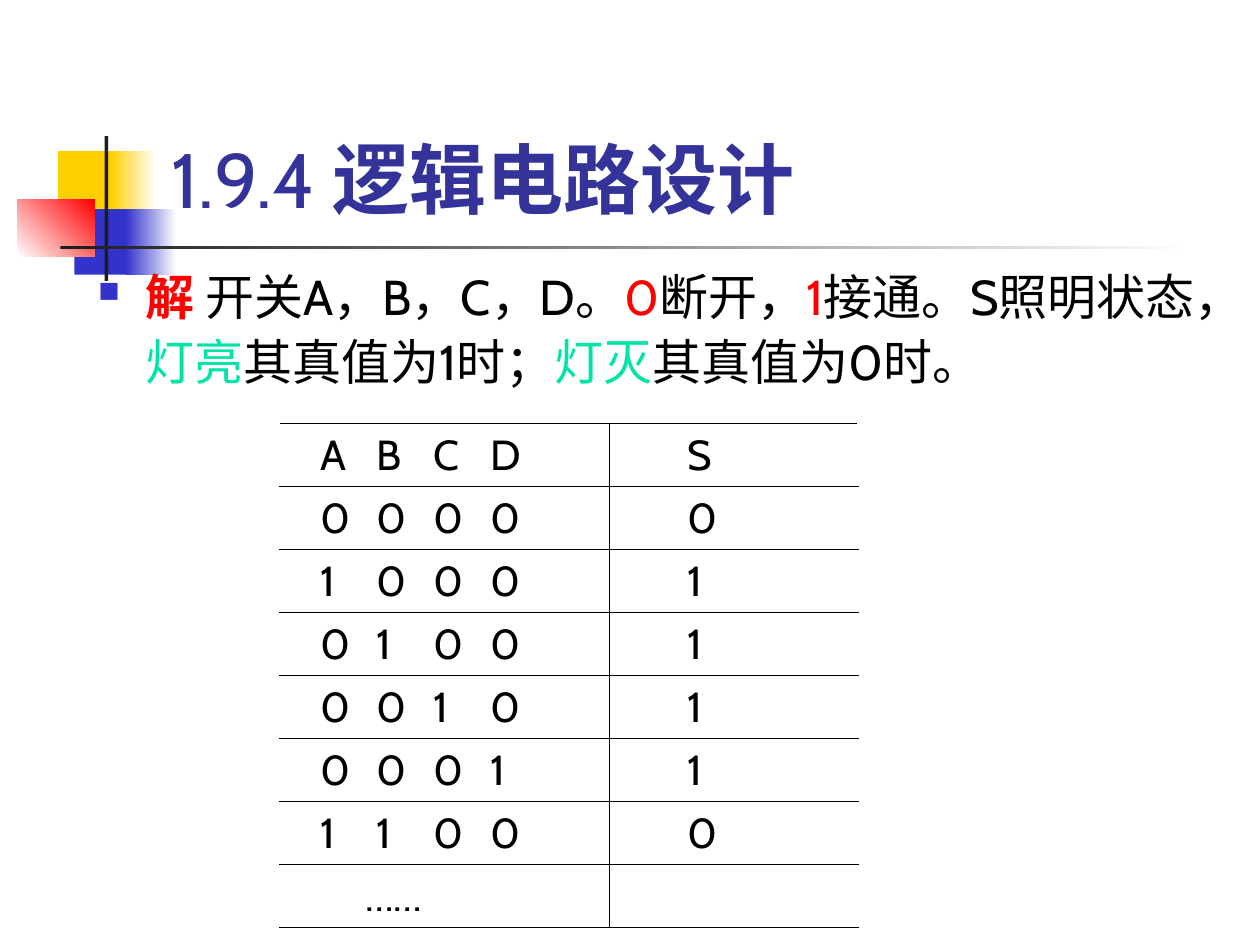
from typing import NamedTuple, Optional

import pptx
import pptx.dml.color
import pptx.enum.shapes
import pptx.enum.text
import pptx.oxml
import pptx.oxml.ns
import pptx.util
from pptx.util import Inches

FONT = "Cabin"
BLACK, WHITE, RED, GREEN = "000000", "FFFFFF", "FF0000", "00E4A8"
YELLOW, BLUE, CHARCOAL, TITLE_BLUE = "FFCF01", "3333CC", "1C1C1C", "333399"


class Block(NamedTuple):
    left: float
    top: float
    width: float
    height: float
    color: str
    end_color: Optional[str] = None
    angle: float = 0


class Run(NamedTuple):
    text: str
    color: str = BLACK
    bold: bool = False


BLOCKS = [
    Block(0.46, 1.2, 0.48, 0.52, YELLOW),
    Block(0.88, 1.2, 0.36, 0.52, YELLOW, WHITE),
    Block(0.59, 1.66, 0.46, 0.52, BLUE),
    Block(1, 1.66, 0.4, 0.52, BLUE, WHITE),
    Block(0.14, 1.58, 0.61, 0.46, WHITE, RED, 45),
    Block(0.83, 1.08, 0.03, 1.15, CHARCOAL),
    Block(0.48, 1.95, 9, 0.03, CHARCOAL, WHITE),
]

TITLE_RUNS = [Run("1.9.4 ", TITLE_BLUE), Run("逻辑电路设计", TITLE_BLUE, True)]

BODY_RUNS = [
    Run("解", RED, True),
    Run(" 开关A，B，C，D。"),
    Run("0", RED),
    Run("断开，"),
    Run("1", RED),
    Run("接通。S照明状态，"),
    Run("灯亮", GREEN),
    Run("其真值为1时；"),
    Run("灯灭", GREEN),
    Run("其真值为0时。"),
]

TRUTH_ROWS = [("ABCD", "S"), ("0000", "0"), ("1000", "1"), ("0100", "1"),
              ("0010", "1"), ("0001", "1"), ("1100", "0")]
COLUMN_WIDTHS = (2.62, 1.97)
ROW_HEIGHT = 0.5
TAB_STEP = 0.45


def rgb(color: str) -> pptx.dml.color.RGBColor:
    return pptx.dml.color.RGBColor.from_string(color)


def append_xml(parent, xml: str) -> None:
    """Append an element written with the a: prefix."""
    head, separator, rest = xml.partition(">")
    closing = "/" if head.endswith("/") else ""
    head = head.rstrip("/") + " " + pptx.oxml.ns.nsdecls("a") + closing
    parent.append(pptx.oxml.parse_xml(head + separator + rest))


def draw_block(slide, block: Block) -> None:
    shape = slide.shapes.add_shape(
        pptx.enum.shapes.MSO_SHAPE.RECTANGLE, Inches(block.left),
        Inches(block.top), Inches(block.width), Inches(block.height))
    shape.shadow.inherit = False
    shape.line.fill.background()
    if block.end_color is None:
        shape.fill.solid()
        shape.fill.fore_color.rgb = rgb(block.color)
        return
    shape.fill.gradient()
    shape.fill.gradient_angle = block.angle
    for stop, color in zip(shape.fill.gradient_stops,
                           (block.color, block.end_color)):
        stop.color.rgb = rgb(color)


def add_text_frame(slide, left: float, top: float, width: float, height: float):
    text_box = slide.shapes.add_textbox(
        Inches(left), Inches(top), Inches(width), Inches(height))
    text_box.text_frame.word_wrap = True
    return text_box.text_frame


def write_runs(paragraph, runs: list[Run], size: int) -> None:
    paragraph.font.name = FONT
    paragraph.font.size = pptx.util.Pt(size)
    for item in runs:
        run = paragraph.add_run()
        run.text = item.text
        run.font.color.rgb = rgb(item.color)
        run.font.bold = item.bold


def draw_title(slide) -> None:
    frame = add_text_frame(slide, 1.26, 0.23, 8.52, 1.6)
    frame.vertical_anchor = pptx.enum.text.MSO_ANCHOR.BOTTOM
    write_runs(frame.paragraphs[0], TITLE_RUNS, 44)


def draw_body(slide) -> None:
    paragraph = add_text_frame(slide, 0.68, 2.02, 9.33, 5.48).paragraphs[0]
    paragraph.line_spacing = 1.1
    properties = paragraph._p.get_or_add_pPr()
    properties.set("marL", str(Inches(0.38)))
    properties.set("indent", str(Inches(-0.38)))
    append_xml(properties, f'<a:buClr><a:srgbClr val="{BLUE}"/></a:buClr>')
    append_xml(properties, '<a:buSzPct val="60000"/>')
    append_xml(properties, '<a:buChar char="■"/>')
    write_runs(paragraph, BODY_RUNS, 28)


def fill_cell(cell, text: str, indent: float, borders: str) -> None:
    """Write one cell; borders names the ruled sides, such as "RTB"."""
    for side in borders:
        append_xml(cell._tc.get_or_add_tcPr(),
                   f'<a:ln{side} w="{pptx.util.Pt(0.45)}"><a:solidFill>'
                   f'<a:srgbClr val="{BLACK}"/></a:solidFill></a:ln{side}>')
    cell.fill.solid()
    cell.fill.fore_color.rgb = rgb(WHITE)
    cell.margin_left = Inches(indent)
    paragraph = cell.text_frame.paragraphs[0]
    stops = "".join(f'<a:tab pos="{Inches(TAB_STEP * number)}" algn="l"/>'
                    for number in range(1, 4))
    append_xml(paragraph._p.get_or_add_pPr(), f"<a:tabLst>{stops}</a:tabLst>")
    write_runs(paragraph, [Run(text)] if text else [], 24)


def draw_truth_table(slide) -> None:
    row_count = len(TRUTH_ROWS) + 1
    table = slide.shapes.add_table(
        row_count, 2, Inches(2.22), Inches(3.36), Inches(sum(COLUMN_WIDTHS)),
        Inches(ROW_HEIGHT * row_count)).table
    table.first_row = False
    table.horz_banding = False
    for column, width in zip(table.columns, COLUMN_WIDTHS):
        column.width = Inches(width)
    for index, (inputs, output) in enumerate(TRUTH_ROWS):
        fill_cell(table.cell(index, 0), "\t".join(inputs), 0.32, "RTB")
        fill_cell(table.cell(index, 1), output, 0.62, "LTB")
    fill_cell(table.cell(row_count - 1, 0), "……", 0.68, "RTB")
    fill_cell(table.cell(row_count - 1, 1), "", 0.62, "LTB")


def main() -> None:
    presentation = pptx.Presentation()
    presentation.slide_width = Inches(10)
    presentation.slide_height = Inches(7.5)
    slide = presentation.slides.add_slide(presentation.slide_layouts[6])
    for block in BLOCKS:
        draw_block(slide, block)
    draw_title(slide)
    draw_body(slide)
    draw_truth_table(slide)
    presentation.save("out.pptx")


if __name__ == "__main__":
    main()
